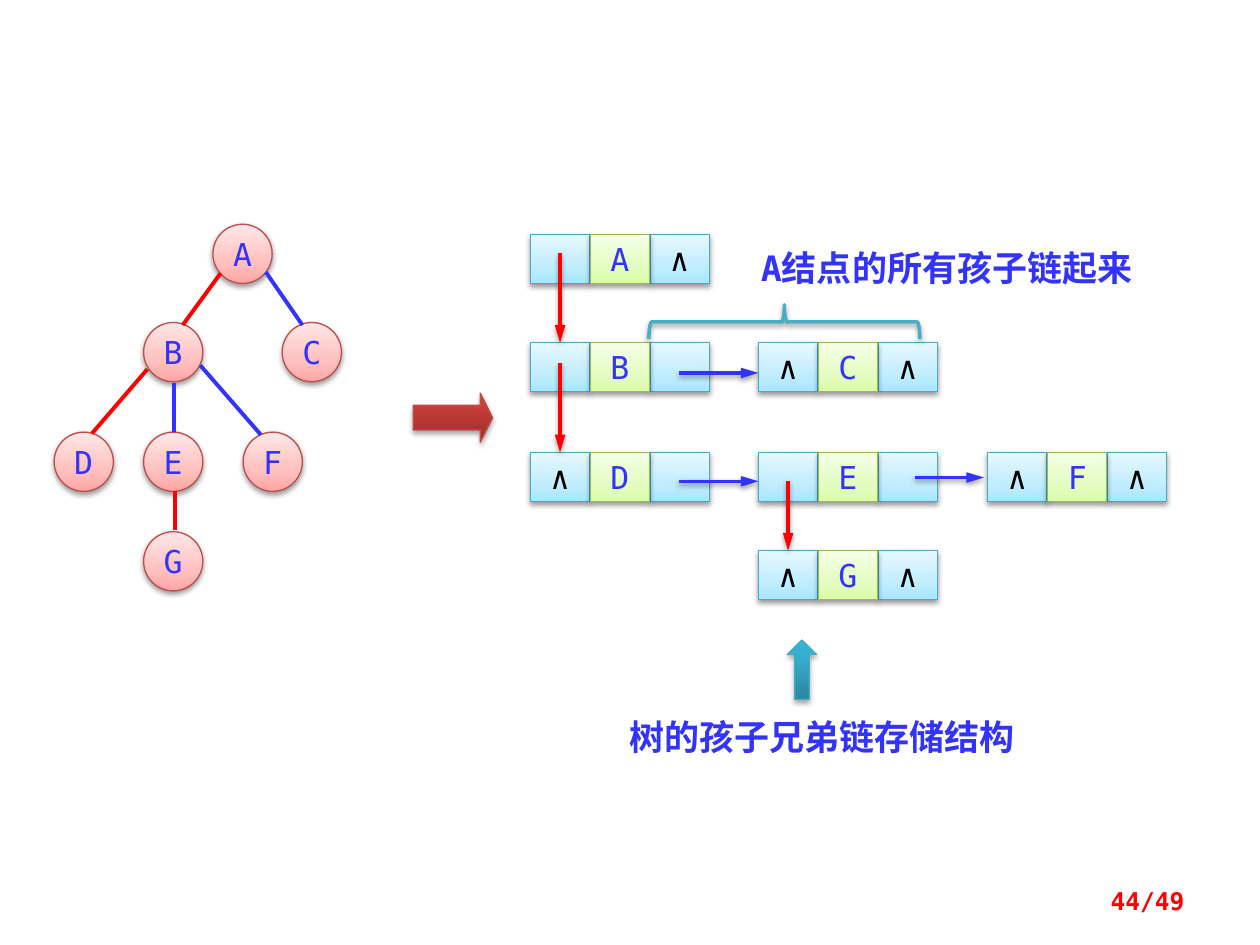
from pptx import Presentation
from pptx import oxml
from pptx import util as u
from pptx.dml.color import RGBColor
from pptx.enum import shapes, text
from pptx.oxml import ns

MONO, CJK = "DejaVu Sans Mono", "Noto Sans CJK SC"
RED, BLUE, BLACK = "FF0000", "3333FF", "000000"
NIL = "∧"
GEOM = shapes.MSO_SHAPE

PINK = dict(stops=[(0, "FFA6A5"), (35, "FFC0BF"), (100, "FFE7E7")], edge="BF4C48")
AQUA = dict(stops=[(0, "A7E6FF"), (35, "C1EDFF"), (100, "E7F8FF")], edge="46AAC5")
LIME = dict(stops=[(0, "DAFDA7"), (35, "E4FCC2"), (100, "F5FFE7")], edge="98B955")
BRICK = dict(stops=[(0, "9C2F2D"), (80, "CB3E3A"), (100, "CE3B37")], edge="BF4C48")
TEAL = dict(stops=[(0, "2A88A2"), (80, "37B1D2"), (100, "34B4D6")], edge="46AAC5")

DIAMETER = 0.47
TREE_NODES = {
    "A": (1.69, 1.78), "G": (1.14, 4.22), "B": (1.14, 2.56), "C": (2.24, 2.56),
    "D": (0.43, 3.43), "E": (1.14, 3.43), "F": (1.93, 3.43),
}
TREE_EDGES = [
    ((1.39, 3.9), (1.39, 4.21), RED), ((1.75, 2.17), (1.45, 2.58), RED),
    ((2.11, 2.16), (2.4, 2.58), BLUE), ((1.38, 3.04), (1.38, 3.43), BLUE),
    ((1.17, 2.93), (0.73, 3.44), RED), ((1.59, 2.9), (2.07, 3.45), BLUE),
]

COLUMNS = [4.21, 6.02, 7.84]
ROWS = [1.86, 2.72, 3.59, 4.37]
CELL_W, CELL_H, CELL_STEP = 0.47, 0.39, 0.475
RECORDS = [
    ("A", 0, 0, "", NIL), ("B", 0, 1, "", ""), ("C", 1, 1, NIL, NIL),
    ("D", 0, 2, NIL, ""), ("E", 1, 2, "", ""), ("F", 2, 2, NIL, NIL),
    ("G", 1, 3, NIL, NIL),
]
CHILD_LINKS = [("B", 2.01), ("D", 2.88), ("G", 3.82)]
SIBLING_LINKS = [((5.39, 2.96), (6.02, 2.96)), ((5.39, 3.82), (6.02, 3.82)),
                 ((7.26, 3.79), (7.81, 3.79))]

CAPTIONS = [
    ("A结点的所有孩子链起来", (5.94, 1.91, 3.2, 0.44), "LEFT", "TOP",
     dict(size=20, name=MONO, color=BLUE, bold=True)),
    ("树的孩子兄弟链存储结构", (4.84, 5.63, 3.37, 0.44), "CENTER", "TOP",
     dict(size=20, name=CJK, color=BLUE, bold=True)),
    ("44/49", (7.17, 6.95, 2.33, 0.4), "RIGHT", "MIDDLE",
     dict(size=14, name=MONO, color=RED, bold=True)),
]


def rgb(hex_string):
    return RGBColor.from_string(hex_string)


def inches(values):
    return [u.Inches(v) for v in values]


def write(frame, words, align, anchor, font):
    frame.vertical_anchor = getattr(text.MSO_ANCHOR, anchor)
    paragraph = frame.paragraphs[0]
    paragraph.alignment = getattr(text.PP_ALIGN, align)
    run = paragraph.add_run()
    run.text = words
    formats = {**font, "size": u.Pt(font["size"])}
    run.font.color.rgb = rgb(formats.pop("color"))
    for key, value in formats.items():
        setattr(run.font, key, value)
    east_asian = oxml.parse_xml(f'<a:ea {ns.nsdecls("a")} typeface="{font["name"]}"/>')
    run.font._element.append(east_asian)


def set_effects(part, alpha=None, distance=1.6):
    properties = part._element.spPr
    for old in properties.findall(ns.qn("a:effectLst")):
        properties.remove(old)
    shadow = "" if alpha is None else (
        f'<a:outerShdw blurRad="{u.Pt(3.1)}" dist="{u.Pt(distance)}" dir="5400000" '
        f'rotWithShape="0"><a:srgbClr val="000000"><a:alpha val="{alpha * 1000}"/>'
        '</a:srgbClr></a:outerShdw>')
    properties.append(oxml.parse_xml(
        f'<a:effectLst {ns.nsdecls("a")}>{shadow}</a:effectLst>'))


def set_gradient(shape, stops):
    shape.fill.background()
    properties = shape._element.spPr
    marks = "".join(f'<a:gs pos="{at * 1000}"><a:srgbClr val="{color}"/></a:gs>'
                    for at, color in stops)
    properties.replace(properties.find(ns.qn("a:noFill")), oxml.parse_xml(
        f'<a:gradFill {ns.nsdecls("a")} rotWithShape="1"><a:gsLst>{marks}</a:gsLst>'
        '<a:lin ang="16200000" scaled="0"/></a:gradFill>'))


def set_line(part, color, width):
    part.line.color.rgb = rgb(color)
    part.line.width = u.Pt(width)


def add_block(slide, geometry, box, look, label="", color=BLUE, alpha=38, distance=1.6):
    block = slide.shapes.add_shape(geometry, *inches(box))
    set_gradient(block, look["stops"])
    set_line(block, look["edge"], 0.75)
    set_effects(block, alpha, distance)
    if label:
        block.text_frame.word_wrap = False
        write(block.text_frame, label, "CENTER", "MIDDLE",
              dict(size=18, name=MONO, color=color))
    return block


def add_line(slide, start, end, color, width):
    line = slide.shapes.add_connector(shapes.MSO_CONNECTOR.STRAIGHT, *inches(start + end))
    set_line(line, color, width)
    set_effects(line)
    return line


def add_link(slide, start, end, color):
    link = add_line(slide, start, end, color, 2)
    link.line._get_or_add_ln().append(oxml.parse_xml(
        f'<a:tailEnd {ns.nsdecls("a")} type="triangle" w="med" len="lg"/>'))
    set_effects(link, 38)
    return link


def add_record(slide, name, column, row, child, sibling):
    cells = [(0, AQUA, child, BLACK), (2, AQUA, sibling, BLACK), (1, LIME, name, BLUE)]
    blocks = [add_block(slide, GEOM.RECTANGLE,
                        (COLUMNS[column] + place * CELL_STEP, ROWS[row], CELL_W, CELL_H),
                        look, label, color)
              for place, look, label, color in cells]
    return blocks[0]


def main():
    deck = Presentation()
    deck.slide_width, deck.slide_height = inches((10, 7.5))
    slide = deck.slides.add_slide(deck.slide_layouts[6])

    for name, corner in TREE_NODES.items():
        add_block(slide, GEOM.OVAL, (*corner, DIAMETER, DIAMETER), PINK, name)
    for start, end, color in TREE_EDGES:
        add_line(slide, start, end, color, 2.25)

    add_block(slide, GEOM.RIGHT_ARROW, (3.28, 3.12, 0.63, 0.39), BRICK,
              alpha=35, distance=1.8).adjustments[1] = 0.25

    child_cells = {record[0]: add_record(slide, *record) for record in RECORDS}
    for name, top in CHILD_LINKS:
        cell = child_cells[name]
        x = (cell.left + cell.width / 2) / u.Inches(1)
        link = add_link(slide, (x, top), (x, cell.top / u.Inches(1)), RED)
        link.end_connect(cell, 0)
    for start, end in SIBLING_LINKS:
        add_link(slide, start, end, BLUE)

    brace = slide.shapes.add_shape(GEOM.LEFT_BRACE, *inches((6.09, 1.48, 0.27, 2.15)))
    brace.rotation = 90
    brace.fill.background()
    set_line(brace, "4BACC6", 2)
    set_effects(brace, 38)

    add_block(slide, GEOM.UP_ARROW, (6.25, 5.08, 0.23, 0.47), TEAL, alpha=35, distance=1.8)

    for words, box, align, anchor, font in CAPTIONS:
        caption = slide.shapes.add_textbox(*inches(box))
        caption.text_frame.word_wrap = True
        write(caption.text_frame, words, align, anchor, font)

    deck.save("out.pptx")


if __name__ == "__main__":
    main()
